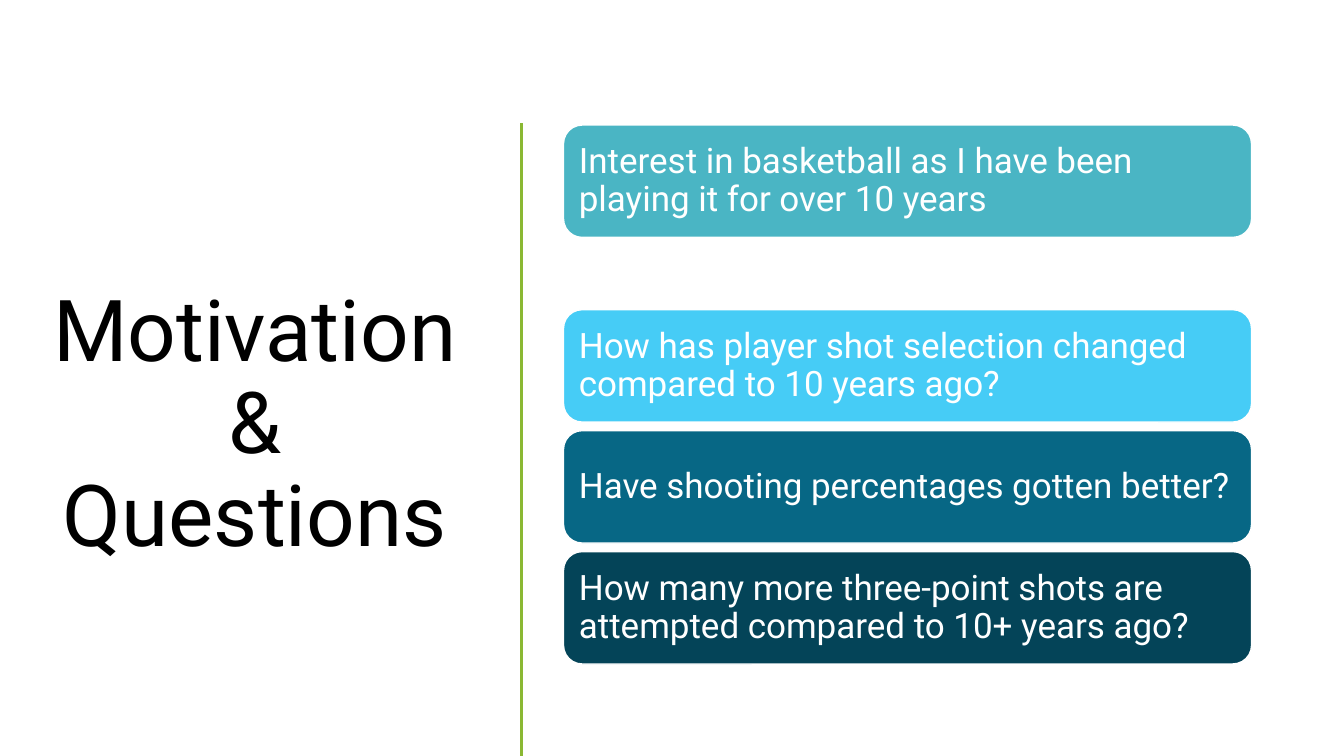
import pptx
import pptx.dml.color
import pptx.enum.shapes
import pptx.enum.text
import pptx.util
from lxml import etree

Pt = pptx.util.Pt
PP = pptx.enum.text.PP_ALIGN
MIDDLE = pptx.enum.text.MSO_ANCHOR.MIDDLE


def rgb(hex_color):
    return pptx.dml.color.RGBColor.from_string(hex_color)


def format_text(tf, size, color, align):
    tf.word_wrap = True
    tf.auto_size = pptx.enum.text.MSO_AUTO_SIZE.NONE
    tf.vertical_anchor = MIDDLE
    p = tf.paragraphs[0]
    p.alignment = align
    p.line_spacing = 0.9
    p.space_before = Pt(0)
    p.font.size = Pt(size)
    p.font.name = "Roboto"
    p.font.color.rgb = rgb(color)


prs = pptx.Presentation()
prs.slide_width, prs.slide_height = Pt(960), Pt(540)
s = prs.slides.add_slide(prs.slide_layouts[5])

# Title
title = s.shapes.title
title.left, title.top, title.width, title.height = Pt(16.5), Pt(84.5), Pt(331), Pt(440)
title.text_frame.text = "Motivation & Questions"
format_text(title.text_frame, 61, "000000", PP.CENTER)

# Divider
divider = s.shapes.add_connector(
    pptx.enum.shapes.MSO_CONNECTOR.STRAIGHT, Pt(372.5), Pt(88), Pt(372.5), Pt(540))
divider.line.color.rgb = rgb("8AB833")
divider.line.width = Pt(2)
sp_pr = divider._element.spPr
etree.SubElement(sp_pr, pptx.oxml.ns.qn("a:effectLst"))

# Motivation card, then the questions below a wider gap
MOTIVATION_TOP, QUESTIONS_TOP, PITCH = 89.3, 221.2, 86.4
cards = [
    (MOTIVATION_TOP, "4AB5C4",
     "Interest in basketball as I have been playing it for over 10 years"),
]
questions = [
    ("46CCF6", "How has player shot selection changed compared to 10 years ago?"),
    ("076785", "Have shooting percentages gotten better?"),
    ("044458", "How many more three-point shots are attempted compared to 10+ years ago?"),
]
for i, (color, text) in enumerate(questions):
    cards.append((QUESTIONS_TOP + i * PITCH, color, text))

for top, color, text in cards:
    sp = s.shapes.add_shape(
        pptx.enum.shapes.MSO_SHAPE.ROUNDED_RECTANGLE, Pt(402.5), Pt(top), Pt(491.5), Pt(80.3))
    sp.shadow.inherit = False
    sp.fill.solid()
    sp.fill.fore_color.rgb = rgb(color)
    sp.line.color.rgb = rgb("FFFFFF")
    sp.line.width = Pt(1)
    tf = sp.text_frame
    tf.margin_left = tf.margin_right = tf.margin_top = tf.margin_bottom = Pt(7.2)
    tf.text = text
    format_text(tf, 25, "FFFFFF", PP.LEFT)

prs.save("out.pptx")
